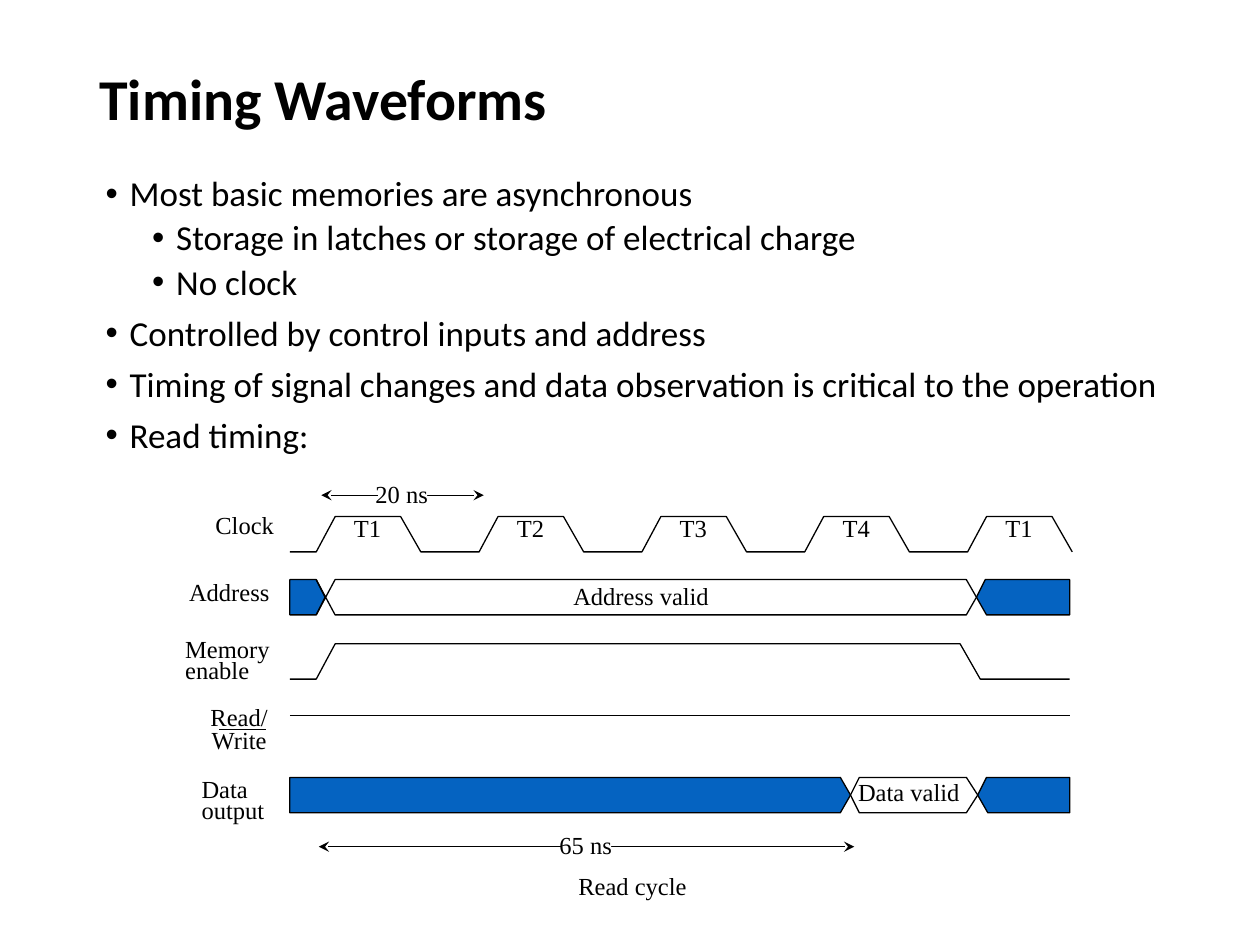
from lxml.etree import SubElement
from pptx import Presentation
from pptx.dml.color import RGBColor
from pptx.enum.shapes import MSO_CONNECTOR, MSO_SHAPE
from pptx.enum.text import MSO_ANCHOR, MSO_AUTO_SIZE
from pptx.oxml.ns import qn
from pptx.util import Inches, Pt

COLORS = {"ink": "000000", "paper": "FFFFFF", "unknown": "0563C1"}
FORMATS = {
    "title": {"name": "Calibri", "size": Pt(33), "bold": True},
    "body": {"name": "Calibri", "size": Pt(20)},
    "diagram": {"name": "Times New Roman", "size": Pt(14)},
}

# Content: text
TITLE = "Timing Waveforms"
BULLETS = [  # level, text
    (0, "Most basic memories are asynchronous"),
    (1, "Storage in latches or storage of electrical charge"),
    (1, "No clock"),
    (0, "Controlled by control inputs and address"),
    (0, "Timing of signal changes and data observation is critical to the operation"),
    (0, "Read timing:"),
]
LEVELS = [  # left margin, space before
    (0.19, 7.5),
    (0.56, 3.8),
]
LABELS = [  # text, left, top, width
    ("Read cycle", 4.59, 6.91, 1.03),
    ("Clock", 1.71, 4.05, 0.6),
    ("Address", 1.5, 4.58, 0.81),
    ("Memory", 1.47, 5.03, 0.83),
    ("enable", 1.47, 5.2, 0.67),
    ("Read/", 1.67, 5.57, 0.61),
    ("Write", 1.68, 5.75, 0.59),
    ("Data", 1.6, 6.14, 0.53),
    ("output", 1.6, 6.31, 0.67),
    ("Address valid", 4.55, 4.61, 1.27),
    ("Data valid", 6.81, 6.17, 0.99),
]
CYCLES = ["T1", "T2", "T3", "T4", "T1"]
DURATIONS = [  # text, start, end, height on slide, text left
    ("20 ns", 2.55, 3.84, 3.93, 2.98),
    ("65 ns", 2.53, 6.78, 6.72, 4.44),
]

# Content: waveforms, as (x, level) with level 1 high and 0 low
SWING = 0.28
ROW_TOPS = {"clock": 4.1, "address": 4.6, "enable": 5.11, "data": 6.17}
START, END = 2.3, 8.49
FIRST_RISE, LAST_RISE = 2.51, 7.68
PULSE = [(0, 0), (0.15, 1), (0.67, 1), (0.83, 0)]

period = (LAST_RISE - FIRST_RISE) / (len(CYCLES) - 1)
rises = [FIRST_RISE + i * period for i in range(len(CYCLES))]
clock = [(START, 0)] + [(rise + dx, level) for rise in rises for dx, level in PULSE]


def unknown_after(cross):
    """Outline of the unknown state from a crossing to the end of the row."""
    return [(END, 1), (END, 0), (cross + 0.08, 0), (cross, 0.5), (cross + 0.07, 1)]


WAVES = [  # row, points, closed, fill
    ("clock", clock, False, None),
    ("enable", [(START, 0), (2.51, 0), (2.66, 1), (7.62, 1), (7.78, 0), (END, 0)],
     False, None),
    ("address", [(2.58, 0.5), (2.51, 0), (START, 0), (START, 1), (2.51, 1)],
     True, "unknown"),
    ("address", unknown_after(7.75), True, "unknown"),
    ("address", [(2.51, 0), (2.66, 1), (7.67, 1), (7.75, 0.5), (7.67, 0), (2.66, 0),
                 (2.51, 1)], False, None),
    ("data", unknown_after(7.76), True, "unknown"),
    ("data", [(6.67, 0), (START, 0), (START, 1), (6.67, 1), (6.75, 0.5)],
     True, "unknown"),
    ("data", [(6.82, 0), (7.67, 0), (7.76, 0.5), (7.67, 1), (6.82, 1), (6.75, 0.5)],
     True, None),
]

prs = Presentation()
prs.slide_width, prs.slide_height = Inches(10), Inches(7.5)
slide = prs.slides.add_slide(prs.slide_layouts[6])
shapes = slide.shapes


def color(key):
    return RGBColor.from_string(COLORS[key])


def write(paragraph, text, style):
    run = paragraph.add_run()
    run.text = text
    for attribute, value in FORMATS[style].items():
        setattr(run.font, attribute, value)
    run.font.color.rgb = color("ink")


def add_frame(left, top, width, height):
    frame = shapes.add_textbox(*map(Inches, (left, top, width, height))).text_frame
    frame.word_wrap = True
    return frame


def add_label(text, left, top, width):
    frame = add_frame(left, top, width, 0.28)
    margins = ("margin_left", "margin_right", "margin_top", "margin_bottom")
    settings = {"word_wrap": False, "auto_size": MSO_AUTO_SIZE.SHAPE_TO_FIT_TEXT}
    for attribute, value in {**dict.fromkeys(margins, 0), **settings}.items():
        setattr(frame, attribute, value)
    write(frame.paragraphs[0], text, "diagram")


def add_line(start, end, y, arrows=False):
    line = shapes.add_connector(MSO_CONNECTOR.STRAIGHT, *map(Inches, (start, y, end, y)))
    line.line.color.rgb = color("ink")
    line.line.width = Pt(0.75)
    if arrows:
        for side in ("a:headEnd", "a:tailEnd"):
            SubElement(line.line._get_or_add_ln(), qn(side), type="stealth")
    SubElement(line._element.spPr, qn("a:effectLst"))


def add_wave(row, points, closed, fill):
    places = [(Inches(x), Inches(ROW_TOPS[row] + SWING * (1 - level)))
              for x, level in points]
    builder = shapes.build_freeform(*places[0])
    builder.add_line_segments(places[1:], close=closed)
    wave = builder.convert_to_shape()
    wave.shadow.inherit = False
    wave.line.color.rgb = color("ink")
    wave.line.width = Pt(0.75)
    if fill:
        wave.fill.solid()
        wave.fill.fore_color.rgb = color(fill)
    else:
        wave.fill.background()


# Title and bullets
title = add_frame(0.69, 0.4, 8.62, 0.82)
title.vertical_anchor = MSO_ANCHOR.MIDDLE
title.paragraphs[0].line_spacing = 0.9
write(title.paragraphs[0], TITLE, "title")

body = add_frame(0.74, 1.35, 8.92, 5.84)
for i, (level, text) in enumerate(BULLETS):
    paragraph = body.add_paragraph() if i else body.paragraphs[0]
    margin, space = LEVELS[level]
    paragraph.level = level
    paragraph.line_spacing = 0.9
    paragraph.space_before = Pt(space)
    properties = paragraph._p.get_or_add_pPr()
    properties.set("marL", str(Inches(margin)))
    properties.set("indent", str(Inches(-0.19)))
    SubElement(properties, qn("a:buFont"), typeface="Arial")
    SubElement(properties, qn("a:buChar"), char="•")
    write(paragraph, text, "body")

# Waveforms, the constant Read/Write signal and the bar over Write
for wave in WAVES:
    add_wave(*wave)
add_line(START, END, 5.68)
add_line(1.74, 2.11, 5.79)

# Durations: an arrow with a gap for its text
for text, start, end, y, left in DURATIONS:
    add_line(start, end, y, arrows=True)
    gap = shapes.add_shape(MSO_SHAPE.RECTANGLE, *map(Inches, (left + 0.02, y - 0.08, 0.39, 0.16)))
    gap.shadow.inherit = False
    gap.fill.solid()
    gap.fill.fore_color.rgb = color("paper")
    gap.line.fill.background()
    add_label(text, left, y - 0.13, 0.53)

# Signal and cycle labels
for label in LABELS:
    add_label(*label)
for text, rise in zip(CYCLES, rises):
    add_label(text, rise + 0.3, 4.07, 0.34)

prs.save("out.pptx")
